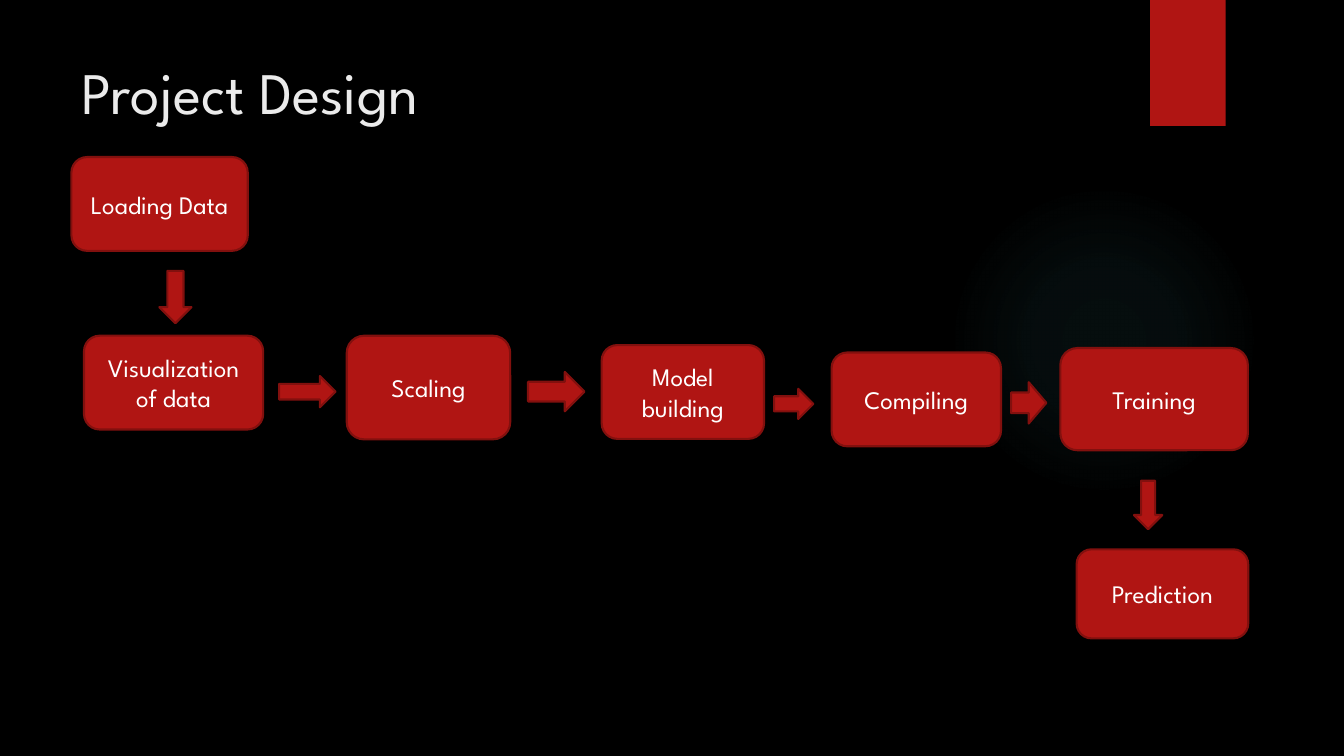
import pptx
import pptx.util
import pptx.dml.color
import pptx.enum.shapes
import pptx.enum.text
import pptx.oxml
import pptx.oxml.ns

Pt = pptx.util.Pt
SHAPE = pptx.enum.shapes.MSO_SHAPE
ALIGN = pptx.enum.text.PP_ALIGN
ANCHOR = pptx.enum.text.MSO_ANCHOR

FONT = "League Spartan"
COLORS = {
    "background": "000000",
    "red": "B01513",
    "outline": "82100E",
    "title": "EBEBEB",
    "label": "FFFFFF",
    "glow": "50B9C1",
}
TITLE = ("Project Design", (51, 36, 741, 110))
BAND = (821.5, 0, 54, 90)
GLOW = (677.5, 131.8, 221.8, 221.8)
GLOW_STOPS = [(0, 7), (36, 6), (69, 0)]
STEPS = [
    ("Loading Data", (51, 112.2, 126, 67)),
    ("Visualization of data", (60, 239.8, 128, 67)),
    ("Scaling", (247.7, 239.8, 116.8, 74)),
    ("Model building", (429.8, 246.5, 116, 67)),
    ("Compiling", (594, 251.8, 121, 67)),
    ("Training", (757.4, 248.6, 134, 73)),
    ("Prediction", (769, 392.4, 122.6, 63.6)),
]
ARROWS = [
    (SHAPE.DOWN_ARROW, (113.8, 193.5, 23, 37.4)),
    (SHAPE.RIGHT_ARROW, (199.4, 268.6, 40.3, 22.3)),
    (SHAPE.RIGHT_ARROW, (377.2, 265.7, 40.3, 28.1)),
    (SHAPE.RIGHT_ARROW, (553, 277.7, 28, 21.6)),
    (SHAPE.RIGHT_ARROW, (722.2, 273, 25.2, 29.5)),
    (SHAPE.DOWN_ARROW, (810, 343.4, 20.2, 34.6)),
]


def rgb(name):
    return pptx.dml.color.RGBColor.from_string(COLORS[name])


def add_shape(s, kind, box, outlined=True):
    sp = s.shapes.add_shape(kind, *map(Pt, box))
    sp.shadow.inherit = False
    sp.fill.solid()
    sp.fill.fore_color.rgb = rgb("red")
    if outlined:
        sp.line.color.rgb = rgb("outline")
        sp.line.width = Pt(1.5)
    else:
        sp.line.fill.background()
    return sp


def write(sp, text, size, color, align, anchor):
    tf = sp.text_frame
    tf.text = text
    tf.word_wrap = True
    tf.auto_size = pptx.enum.text.MSO_AUTO_SIZE.NONE
    tf.vertical_anchor = anchor
    p = tf.paragraphs[0]
    p.alignment = align
    font = p.runs[0].font
    font.name = FONT
    font.size = Pt(size)
    font.color.rgb = rgb(color)


def add_glow(s):
    sp = add_shape(s, SHAPE.OVAL, GLOW, outlined=False)
    stops = "".join(
        f'<a:gs pos="{pos * 1000}"><a:srgbClr val="{COLORS["glow"]}">'
        f'<a:alpha val="{alpha * 1000}"/></a:srgbClr></a:gs>'
        for pos, alpha in GLOW_STOPS
    )
    gradient = pptx.oxml.parse_xml(
        f'<a:gradFill {pptx.oxml.ns.nsdecls("a")}><a:gsLst>{stops}</a:gsLst>'
        '<a:path path="circle">'
        '<a:fillToRect l="50000" t="50000" r="50000" b="50000"/>'
        '</a:path></a:gradFill>'
    )
    props = sp.element.spPr
    props.replace(props.find(pptx.oxml.ns.qn("a:solidFill")), gradient)


def main():
    prs = pptx.Presentation()
    prs.slide_width, prs.slide_height = Pt(960), Pt(540)
    s = prs.slides.add_slide(prs.slide_layouts[5])
    s.background.fill.solid()
    s.background.fill.fore_color.rgb = rgb("background")

    add_glow(s)
    add_shape(s, SHAPE.RECTANGLE, BAND, outlined=False)

    text, box = TITLE
    title = s.shapes.title
    title.left, title.top, title.width, title.height = map(Pt, box)
    write(title, text, 42, "title", ALIGN.LEFT, ANCHOR.TOP)

    for text, box in STEPS:
        sp = add_shape(s, SHAPE.ROUNDED_RECTANGLE, box)
        write(sp, text, 18, "label", ALIGN.CENTER, ANCHOR.MIDDLE)
    for kind, box in ARROWS:
        add_shape(s, kind, box)

    prs.save("out.pptx")


if __name__ == "__main__":
    main()
